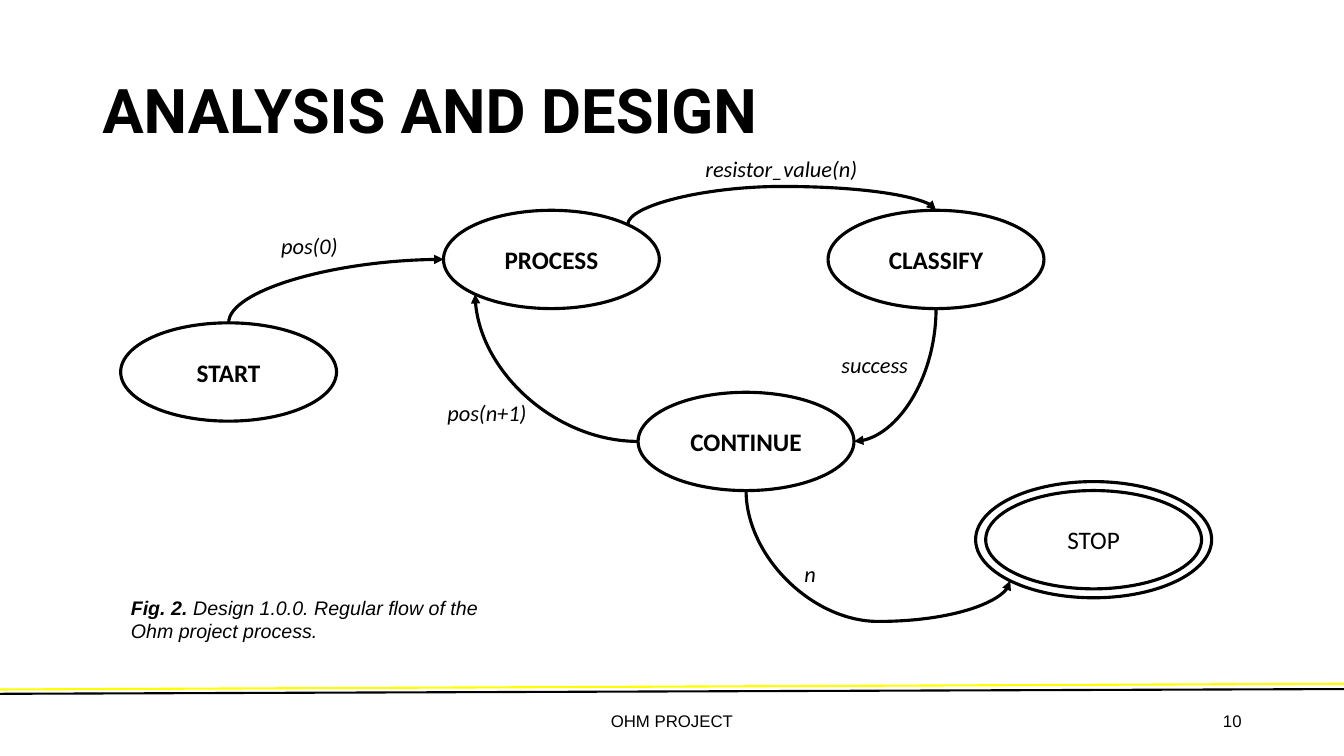
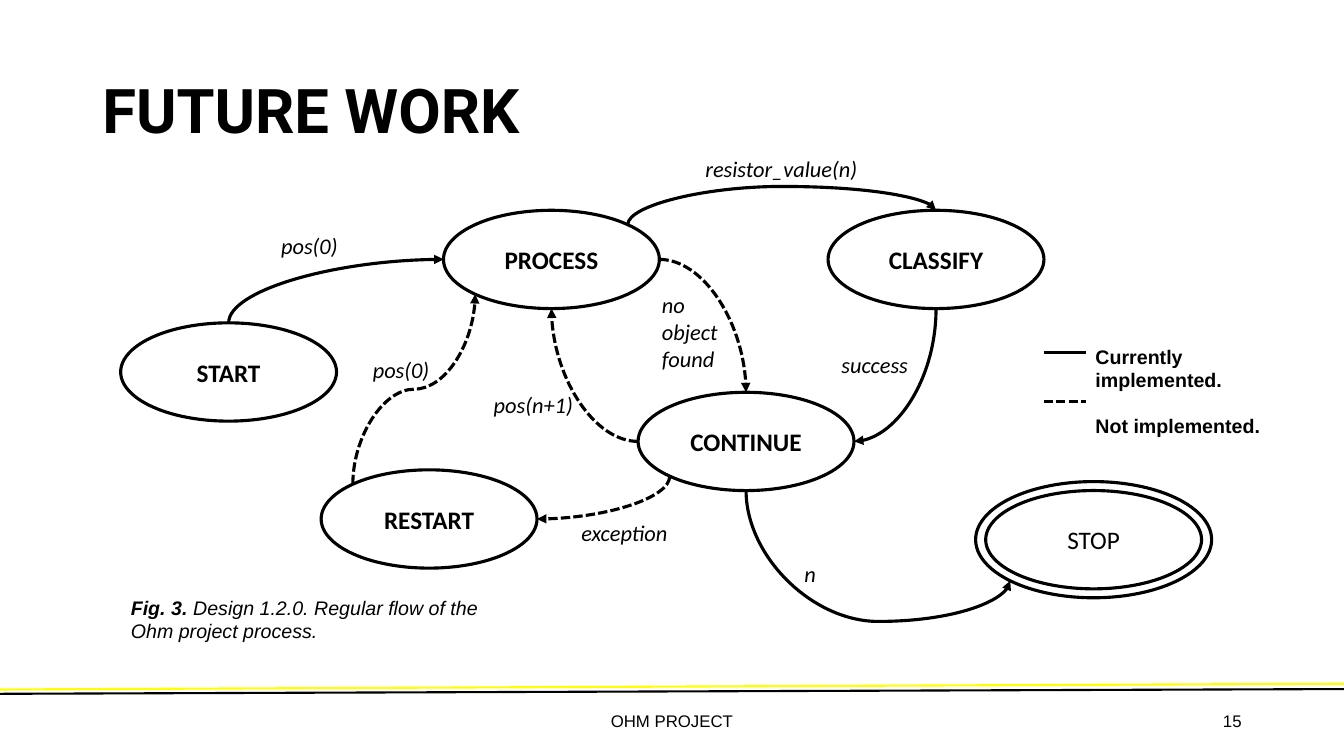
from math import cos, radians, sin

from lxml import etree
from pptx import Presentation
from pptx.dml.color import RGBColor
from pptx.enum import dml, shapes, text
from pptx.oxml.ns import qn
from pptx.util import Pt

BLACK = RGBColor(0, 0, 0)
YELLOW = RGBColor(255, 255, 0)
LEFT, CENTER, RIGHT = text.PP_ALIGN.LEFT, text.PP_ALIGN.CENTER, text.PP_ALIGN.RIGHT

SLIDE_SIZE = (960, 540)
STATE_SIZE = (154.2, 70.2)
RING_SIZE = (168.6, 83)
STROKE = 2.25

# Connection sites of an ellipse, counter-clockwise from the top
TOP, TOP_LEFT, SIDE_LEFT, BOTTOM_LEFT, BOTTOM, BOTTOM_RIGHT, SIDE_RIGHT, TOP_RIGHT = range(8)

FOOTER = "OHM PROJECT"
BANDS = [(YELLOW, 492.5, 488.4), (BLACK, 495.6, 492.2)]  # colour, y at left, y at right

# State: centre
STATES = {
    "PROCESS": (393.9, 185.3),
    "START": (163.3, 265.7),
    "CONTINUE": (532.9, 315.3),
    "STOP": (781.2, 385.5),
    "CLASSIFY": (668.6, 185.3),
}
# From, site, to, site, position of the bend (for U and S curves), dashed
FLOWS = [
    ("START", TOP, "PROCESS", SIDE_LEFT, None, False),
    ("PROCESS", TOP_RIGHT, "CLASSIFY", TOP, 2.655, False),
    ("CLASSIFY", BOTTOM, "CONTINUE", SIDE_RIGHT, None, False),
    ("CONTINUE", BOTTOM, "STOP RING", BOTTOM_LEFT, 1.451, False),
]
# Text, left, top, width
LABELS = [
    ("pos(0)", 193.7, 162, 71),
    ("resistor_value(n)", 496.8, 107.2, 124),
    ("success", 594, 247.6, 66),
    ("n", 567.4, 396.8, 27),
]

SLIDES = [
    {
        "title": "ANALYSIS AND DESIGN",
        "number": "10",
        "caption": ("Fig. 2. ", "Design 1.0.0. Regular flow of the Ohm project process."),
        "states": {},
        "flows": [("CONTINUE", SIDE_LEFT, "PROCESS", BOTTOM_LEFT, None, False)],
        "labels": [("pos(n+1)", 312.5, 281.5, 75)],
        "legend": [],
    },
    {
        "title": "FUTURE WORK",
        "number": "15",
        "caption": ("Fig. 3. ", "Design 1.2.0. Regular flow of the Ohm project process."),
        "states": {"RESTART": (306.5, 370.7)},
        "flows": [
            ("PROCESS", SIDE_RIGHT, "CONTINUE", TOP, None, True),
            ("CONTINUE", BOTTOM_LEFT, "RESTART", SIDE_RIGHT, None, True),
            ("CONTINUE", SIDE_LEFT, "PROCESS", BOTTOM, None, True),
            ("RESTART", TOP_LEFT, "PROCESS", BOTTOM_LEFT, 0.5, True),
        ],
        "labels": [
            ("pos(n+1)", 345.6, 275.8, 75),
            ("no object found", 465.8, 204.5, 61),
            ("exception", 408.2, 367.2, 84),
            ("pos(0)", 259.2, 250.6, 71),
        ],
        # Text, y of the sample line, dashed
        "legend": [("Currently implemented.", 252, False), ("Not implemented.", 286.6, True)],
    },
]


def add_span(para, words, size, font, bold=False, italic=False):
    span = para.add_run()
    span.text = words
    span.font.size, span.font.name = Pt(size), font
    span.font.bold, span.font.italic = bold, italic
    span.font.color.rgb = BLACK


def add_box(page, left, top, width, height, anchor=text.MSO_ANCHOR.TOP, align=LEFT):
    """Add an empty wrapping text box and return its text frame."""
    frame = page.shapes.add_textbox(Pt(left), Pt(top), Pt(width), Pt(height)).text_frame
    frame.word_wrap = True
    frame.vertical_anchor = anchor
    frame.paragraphs[0].alignment = align
    return frame


def style_line(connector, color, width, dashed=False, arrow=False):
    connector.line.color.rgb = color
    connector.line.width = Pt(width)
    if dashed:
        connector.line.dash_style = dml.MSO_LINE.SQUARE_DOT
    properties = connector._element.spPr
    if arrow:
        etree.SubElement(properties.find(qn("a:ln")), qn("a:tailEnd"), type="triangle")
    etree.SubElement(properties, qn("a:effectLst"))


def add_line(page, start, end, color, width, dashed=False):
    points = [Pt(value) for value in (*start, *end)]
    line = page.shapes.add_connector(shapes.MSO_CONNECTOR.STRAIGHT, *points)
    style_line(line, color, width, dashed)


def add_ellipse(page, center, size, name=""):
    (x, y), (width, height) = center, size
    ellipse = page.shapes.add_shape(
        shapes.MSO_SHAPE.OVAL, Pt(x - width / 2), Pt(y - height / 2), Pt(width), Pt(height))
    ellipse.shadow.inherit = False
    ellipse.fill.background()
    ellipse.line.color.rgb = BLACK
    ellipse.line.width = Pt(STROKE)
    if name:
        ellipse.text_frame.vertical_anchor = text.MSO_ANCHOR.MIDDLE
        para = ellipse.text_frame.paragraphs[0]
        para.alignment = CENTER
        add_span(para, name, 18, "Calibri", bold=name != "STOP")
    return ellipse


def site_point(ellipse, site):
    angle = radians(90 + 45 * site)
    return (ellipse.left + ellipse.width / 2 * (1 + cos(angle)),
            ellipse.top + ellipse.height / 2 * (1 - sin(angle)))


def add_flow(page, source, source_site, target, target_site, bend, dashed):
    """Join two ellipse sites by a curved arrow.

    A curve preset leaves its start sideways, so one that leaves up or down
    is turned by a quarter and its width and height change places.
    """
    x1, y1 = site_point(source, source_site)
    x2, y2 = site_point(target, target_site)
    dx, dy = x2 - x1, y2 - y1
    width, height = abs(dx), abs(dy)
    if source_site in (SIDE_LEFT, SIDE_RIGHT):
        turn = 0 if dx > 0 else 180
        flip_h, flip_v = False, dx * dy < 0
    else:
        turn = 90 if dx * dy < 0 else 270
        flip_h, flip_v = dx > 0, dy < 0
        width, height = height, width

    curve = page.shapes.add_connector(shapes.MSO_CONNECTOR.CURVE, 0, 0, 0, 0)
    curve.left, curve.top = round((x1 + x2 - width) / 2), round((y1 + y2 - height) / 2)
    curve.width, curve.height = round(width), round(height)
    style_line(curve, BLACK, STROKE, dashed, arrow=True)

    frame = curve._element.spPr.find(qn("a:xfrm"))
    for key, value in (("rot", turn * 60000), ("flipH", int(flip_h)), ("flipV", int(flip_v))):
        if value:
            frame.set(key, str(value))
    preset = curve._element.spPr.find(qn("a:prstGeom"))
    if bend is None:
        preset.set("prst", "curvedConnector2")
    else:
        etree.SubElement(preset.find(qn("a:avLst")), qn("a:gd"),
                         name="adj1", fmla=f"val {round(bend * 100000)}")
    joints = curve._element.find(".//" + qn("p:cNvCxnSpPr"))
    for tag, ellipse, site in (("a:stCxn", source, source_site), ("a:endCxn", target, target_site)):
        etree.SubElement(joints, qn(tag), id=str(ellipse.shape_id), idx=str(site))


def add_frame(page, title, number):
    """Add what every slide shares: bands, title and footer."""
    for color, left_y, right_y in BANDS:
        add_line(page, (0, left_y), (SLIDE_SIZE[0], right_y), color, 1.5)
    middle = text.MSO_ANCHOR.MIDDLE
    para = add_box(page, 66, 28.8, 828, 104.4, middle).paragraphs[0]
    para.line_spacing = 0.9
    add_span(para, title, 44, "Roboto", bold=True)
    for words, left, width, align in ((FOOTER, 318, 324, CENTER), (number, 678, 216, RIGHT)):
        para = add_box(page, left, 500.5, width, 28.8, middle, align).paragraphs[0]
        add_span(para, words, 12, "Arial")


def add_legend(page, entries):
    frame = add_box(page, 775.4, 242.6, 158.4, 58.3)
    for index, (words, y, dashed) in enumerate(entries):
        para = frame.add_paragraph() if index else frame.paragraphs[0]
        para.space_before = Pt(16 * index)
        add_span(para, words, 14, "Arial", bold=True)
        add_line(page, (745.4, y), (775.4, y), BLACK, STROKE, dashed)


def add_diagram(page, content):
    states = {name: add_ellipse(page, center, STATE_SIZE, name)
              for name, center in {**STATES, **content["states"]}.items()}
    states["STOP RING"] = add_ellipse(page, STATES["STOP"], RING_SIZE)
    for source, source_site, target, target_site, bend, dashed in FLOWS + content["flows"]:
        add_flow(page, states[source], source_site, states[target], target_site, bend, dashed)
    for words, left, top, width in LABELS + content["labels"]:
        para = add_box(page, left, top, width, 25.2).paragraphs[0]
        add_span(para, words, 16, "Calibri", italic=True)


def main():
    deck = Presentation()
    deck.slide_width, deck.slide_height = (Pt(length) for length in SLIDE_SIZE)
    for content in SLIDES:
        page = deck.slides.add_slide(deck.slide_layouts[6])
        add_frame(page, content["title"], content["number"])
        add_diagram(page, content)
        figure, description = content["caption"]
        para = add_box(page, 86.4, 421.9, 285.8, 41).paragraphs[0]
        add_span(para, figure, 14, "Arial", bold=True, italic=True)
        add_span(para, description, 14, "Arial", italic=True)
        if content["legend"]:
            add_legend(page, content["legend"])
    deck.save("out.pptx")


if __name__ == "__main__":
    main()
